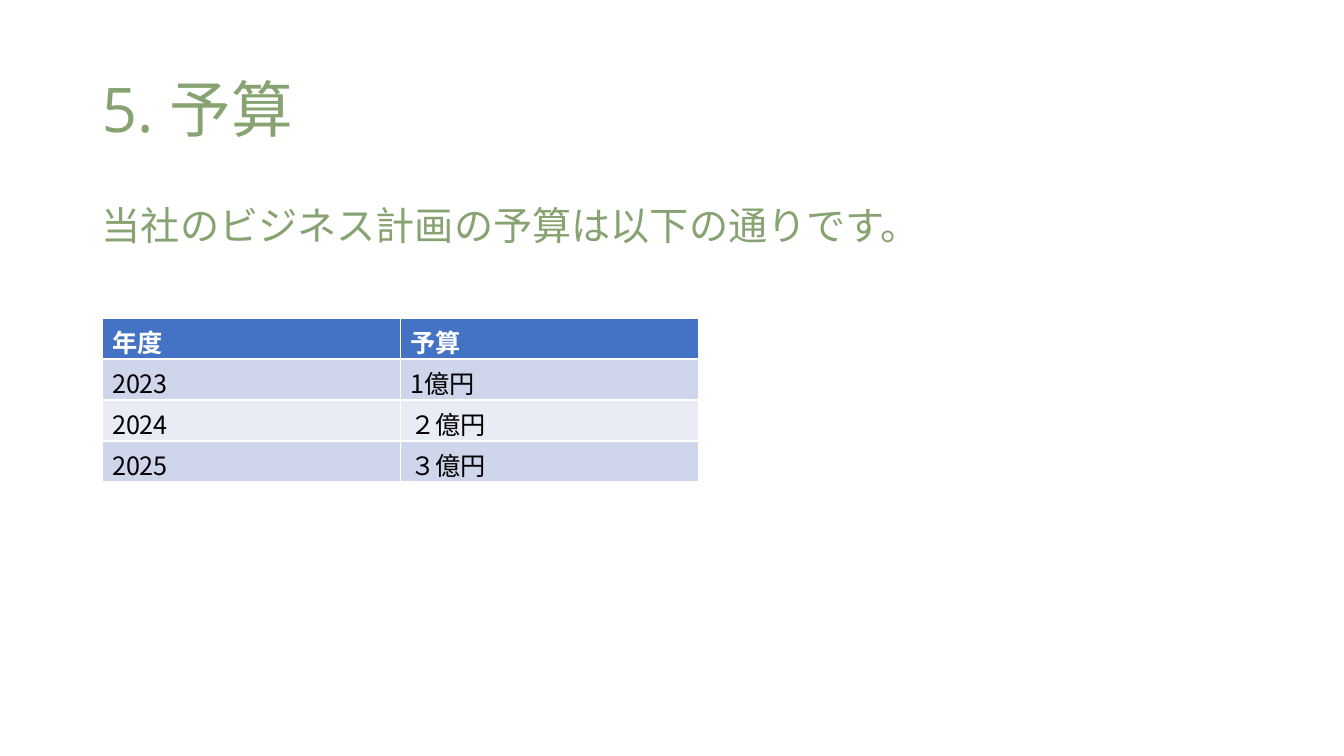
from lxml.etree import SubElement
from pptx import Presentation
from pptx.dml.color import RGBColor
from pptx.enum.text import MSO_ANCHOR
from pptx.oxml.ns import qn
from pptx.util import Pt

PIXEL = 914400 / 100.8
COLORS = {
    "green": "87A371",
    "header": "4472C4",
    "band_dark": "CFD5EA",
    "band_light": "E9EBF5",
    "white": "FFFFFF",
    "black": "000000",
}
LATIN_FONT = "Open Sans"
JAPANESE_FONT = "Noto Sans CJK JP"
BUDGET = [("年度", "予算"), ("2023", "1億円"), ("2024", "２億円"), ("2025", "３億円")]


def emu(pixels):
    return round(pixels * PIXEL)


def color(name):
    return RGBColor.from_string(COLORS[name])


def write(frame, text, *, size, fill, font=LATIN_FONT, bold=False, spacing=1.0, before=0):
    para = frame.paragraphs[0]
    para.line_spacing = spacing
    para.space_before = Pt(before)
    span = para.add_run()
    span.text = text
    span.font.size = Pt(size)
    span.font.bold = bold
    span.font.name = font
    span.font.color.rgb = color(fill)
    SubElement(span.font._element, qn("a:ea"), typeface=JAPANESE_FONT)


def add_heading(page, box, text, anchor, **style):
    frame = page.shapes.add_textbox(*map(emu, box)).text_frame
    frame.word_wrap = True
    frame.vertical_anchor = anchor
    write(frame, text, fill="green", spacing=0.9, **style)


def add_budget_table(page, box, rows):
    # The default table style draws the white rules between cells
    table = page.shapes.add_table(len(rows), len(rows[0]), *map(emu, box)).table
    for row_index, row in enumerate(rows):
        is_header = row_index == 0
        band = "header" if is_header else ("band_light", "band_dark")[row_index % 2]
        for column_index, text in enumerate(row):
            cell = table.cell(row_index, column_index)
            cell.fill.solid()
            cell.fill.fore_color.rgb = color(band)
            write(cell.text_frame, text, size=18, font=JAPANESE_FONT, bold=is_header,
                  fill="white" if is_header else "black")


def build_budget_page(deck, box):
    page = deck.slides.add_slide(deck.slide_layouts[6])
    left, top, width, height = box
    # Title and introduction
    add_heading(page, (left + 92, top + 40, width - 184, 146), "5. 予算",
                MSO_ANCHOR.MIDDLE, size=44)
    add_heading(page, (left + 92, top + 202, width - 184, 88),
                "当社のビジネス計画の予算は以下の通りです。", MSO_ANCHOR.TOP, size=28, before=10)
    # Budget by year
    add_budget_table(page, (left + 102, top + 318, 597, 164), BUDGET)


deck = Presentation()
deck.slide_width, deck.slide_height = emu(1344), emu(756)
build_budget_page(deck, (0, 0, 1344, 756))
deck.save("out.pptx")
